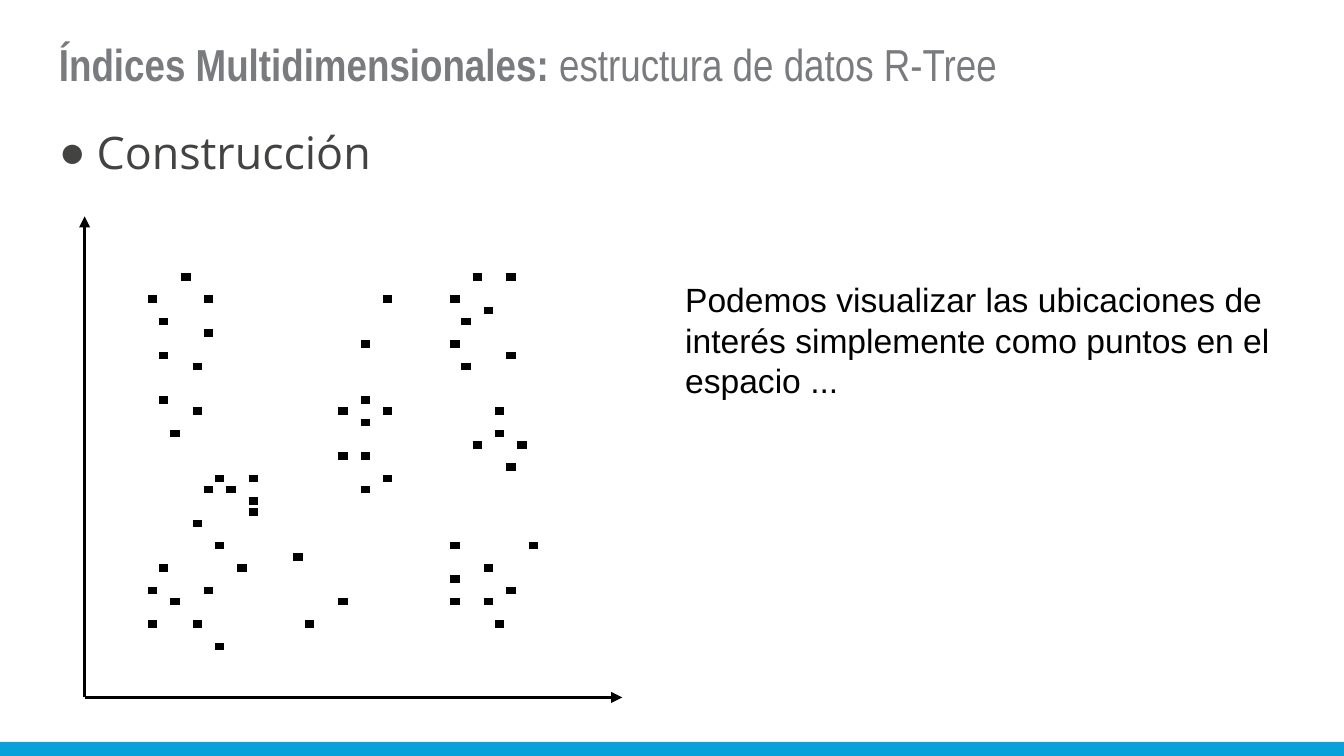
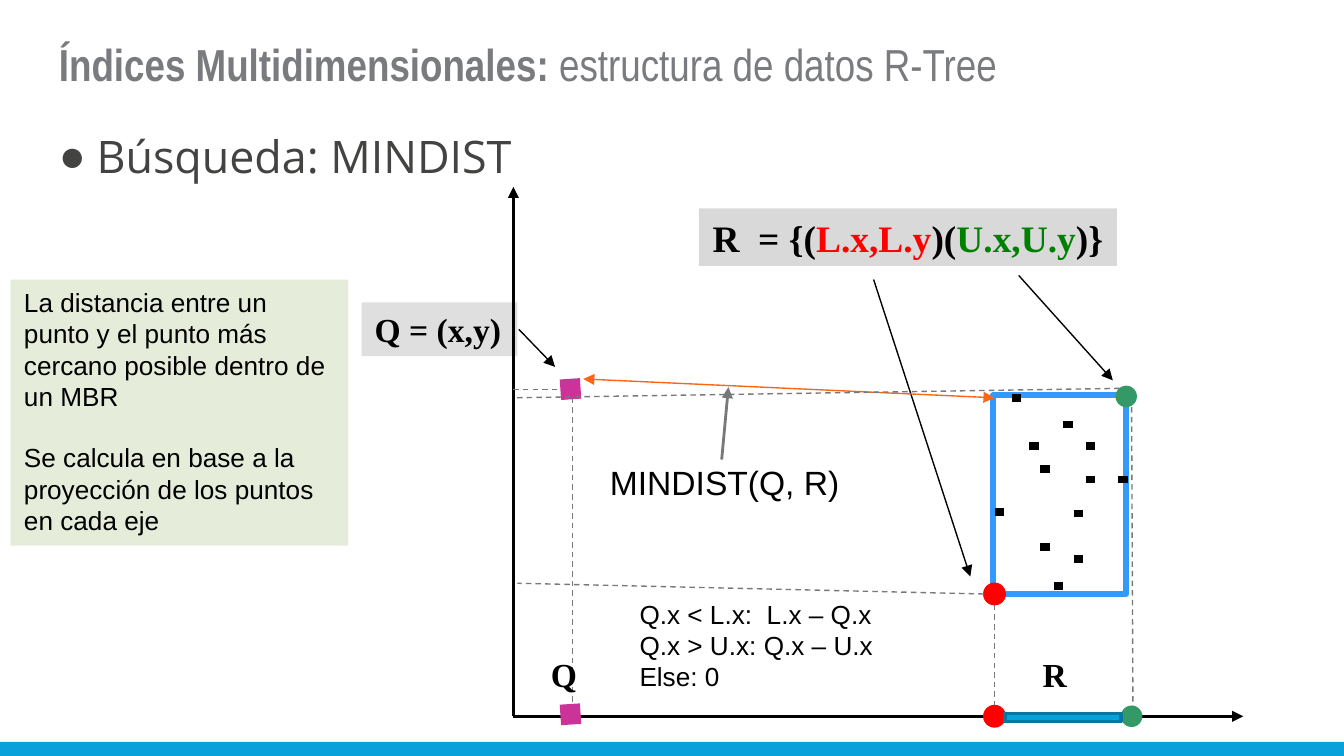
from lxml import etree
from pptx import Presentation
from pptx import util as u
from pptx.dml import color
from pptx.enum import dml, shapes, text
from pptx.oxml import ns

COLORS = {
    "band": "08A1D9", "band_edge": "0677A1", "title": "797B7E", "body": "434342",
    "black": "000000", "guide": "76787B", "query": "CC3399", "box": "3399FF",
    "red": "FF0000", "green": "339966", "upper": "008000", "distance": "F96615",
    "silver": "C0C0C0", "light": "D9D9D9", "note": "E5ECD9",
}
DOT_LENGTH = 0.07
DOT_WEIGHT = 4
SERIF = "Times New Roman"


def rgb(name):
    return color.RGBColor.from_string(COLORS[name])


def add_xml(parent, tag, **attributes):
    return etree.SubElement(parent, ns.qn(tag), attributes)


class Deck:
    """Holds the shared style and the slide being drawn."""

    def __init__(self):
        self.presentation = Presentation()
        self.presentation.slide_width = u.Inches(10)
        self.presentation.slide_height = u.Inches(10 * 9 / 16)
        self.slide = None

    def new_slide(self, heading, heading_top):
        self.slide = self.presentation.slides.add_slide(self.presentation.slide_layouts[6])
        self.shape("RECTANGLE", (0, 5.52, 10, 0.11), "band")
        self.text((0.34, 0.17, 9.32, 0.69),
                  [[("Índices Multidimensionales: ", "title", True),
                    ("estructura de datos R-Tree", "title", False)]],
                  24, "Arial Narrow", inset=0.1)
        frame = self.text((0.34, heading_top, 9.32, 0.75), [[(heading, "body", False)]],
                          24, "Open Sans", inset=0.1)
        self.bullet(frame.paragraphs[0])

    def bullet(self, paragraph):
        paragraph.space_before = paragraph.space_after = u.Pt(6)
        properties = paragraph._p.get_or_add_pPr()
        properties.set("marL", str(u.Inches(0.28)))
        properties.set("indent", str(-u.Inches(0.28)))
        bullet_color = add_xml(properties, "a:buClr")
        add_xml(bullet_color, "a:srgbClr", val=COLORS["body"])
        add_xml(properties, "a:buFont", typeface="Arial")
        add_xml(properties, "a:buChar", char="●")

    def text(self, box, paragraphs, size, font="Arial", inset=0.05,
             fill=None, alpha=None, wrap=True, align="LEFT", gap=0):
        """Each paragraph is a list of (words, color, bold) runs."""
        shape = self.slide.shapes.add_textbox(*map(u.Inches, box))
        if fill:
            self.fill(shape, fill, alpha)
        frame = shape.text_frame
        frame.word_wrap = wrap
        frame.vertical_anchor = text.MSO_ANCHOR.TOP
        frame.margin_left = frame.margin_right = u.Inches(0.1)
        frame.margin_top = frame.margin_bottom = u.Inches(inset)
        for index, runs in enumerate(paragraphs):
            paragraph = frame.add_paragraph() if index else frame.paragraphs[0]
            paragraph.alignment = text.PP_ALIGN[align]
            if index and gap:
                paragraph.space_before = u.Pt(gap)
            for words, ink, bold in runs:
                run = paragraph.add_run()
                run.text = words
                run.font.size = u.Pt(size)
                run.font.name = font
                run.font.bold = bold
                run.font.color.rgb = rgb(ink)
        return frame

    def plain(self, box, lines, size, font="Arial", bold=False, **options):
        """Black text, one run to a line."""
        self.text(box, [[(line, "black", bold)] for line in lines], size, font, **options)

    def fill(self, shape, name, alpha=None):
        shape.fill.solid()
        shape.fill.fore_color.rgb = rgb(name)
        if alpha:
            value = shape._element.spPr.find(".//" + ns.qn("a:srgbClr"))
            add_xml(value, "a:alpha", val=str(alpha * 1000))

    def shape(self, kind, box, fill=None, line=None, weight=0.75):
        shape = self.slide.shapes.add_shape(shapes.MSO_SHAPE[kind], *map(u.Inches, box))
        shape.shadow.inherit = False
        if fill:
            self.fill(shape, fill)
        else:
            shape.fill.background()
        if line:
            shape.line.color.rgb = rgb(line)
            shape.line.width = u.Pt(weight)
        else:
            shape.line.fill.background()

    def line(self, start, end, ink="black", weight=0.75, head=False, tail=False, dash=False):
        connector = self.slide.shapes.add_connector(
            shapes.MSO_CONNECTOR.STRAIGHT, *map(u.Inches, (*start, *end)))
        connector.line.color.rgb = rgb(ink)
        connector.line.width = u.Pt(weight)
        if dash:
            connector.line.dash_style = dml.MSO_LINE.DASH
        outline = connector.line._get_or_add_ln()
        for tag, wanted in (("a:headEnd", head), ("a:tailEnd", tail)):
            if wanted:
                add_xml(outline, tag, type="triangle")
        add_xml(connector._element.spPr, "a:effectLst")

    def axes(self, origin, top, right):
        self.line(origin, (origin[0], top), weight=1.5, tail=True)
        self.line(origin, (right, origin[1]), weight=1.5, tail=True)

    def dot(self, left, middle):
        self.line((left, middle), (left + DOT_LENGTH, middle), weight=DOT_WEIGHT)

    def query_mark(self, left, middle):
        self.line((left, middle), (left + 0.15, middle - 0.01), "query", 11)

    def corner(self, left, top, ink, line=None):
        self.shape("OVAL", (left, top, 0.16, 0.16), ink, line)


# Locations on a grid of twelfths of an inch: row -> columns
LOCATIONS = {
    0: (3, 29, 32), 2: (0, 5, 21, 27), 3: (30,), 4: (1, 28), 5: (5,), 6: (19, 27),
    7: (1, 32), 8: (4, 28), 11: (1, 19), 12: (4, 17, 21, 31), 13: (19,), 14: (2, 31),
    15: (29, 33), 16: (17, 19), 17: (32,), 18: (6, 9, 21), 19: (5, 7, 19), 20: (9,),
    21: (9,), 22: (4,), 24: (6, 27, 34), 25: (13,), 26: (1, 8, 30), 27: (27,),
    28: (0, 5, 32), 29: (2, 17, 27, 30), 31: (0, 4, 14, 31), 33: (6,),
}
# Points inside the bounding rectangle R
MEMBERS = [
    (7.84, 4.36), (7.74, 4.07), (7.99, 3.82), (7.4, 3.81), (8.08, 3.57), (7.66, 3.32),
    (8.08, 3.32), (7.74, 3.49), (7.91, 3.16), (7.99, 4.16), (7.53, 2.96), (8.32, 3.57),
]
# Projections of the points on the axes
GUIDES = [
    ((4.26, 2.96), (4.26, 5.33)), ((7.4, 4.5), (7.4, 5.33)), ((8.42, 3.03), (8.43, 5.33)),
    ((3.82, 2.9), (4.17, 2.9)), ((7.32, 4.42), (3.85, 4.34)), ((8.33, 2.89), (3.82, 2.96)),
]


def construction_slide(deck):
    deck.new_slide("Construcción", 0.83)
    for row, columns in LOCATIONS.items():
        for column in columns:
            deck.dot(1.1 + column / 12, 2.06 + row / 12)
    deck.axes((0.63, 5.19), 1.61, 4.63)
    deck.plain((5, 2.03, 5, 1),
               ["Podemos visualizar las ubicaciones de interés simplemente "
                "como puntos en el espacio ..."], 18)


def search_slide(deck):
    deck.new_slide("Búsqueda: MINDIST", 0.86)

    # Query point and pointers to the corners
    deck.line((6.5, 2.08), (7.22, 4.29), tail=True)
    deck.line((7.58, 2.05), (8.28, 2.83), tail=True)
    deck.plain((2.69, 2.25, 1.16, 0.4), ["Q = (x,y)"], 18, SERIF, True,
               fill="silver", alpha=50)
    deck.query_mark(4.17, 2.9)
    deck.line((3.86, 2.45), (4.13, 2.73), tail=True)

    # Bounding rectangle with its points and corners
    deck.shape("RECTANGLE", (7.39, 2.94, 0.99, 1.48), line="box", weight=3)
    for member in MEMBERS:
        deck.dot(*member)
    deck.corner(7.32, 4.34, "red", "red")
    deck.corner(8.3, 2.87, "green")

    # Definitions
    deck.text((5.2, 1.55, 3.11, 0.43),
              [[("R  = {(", "black", True), ("L.x,L.y", "red", True), (")(", "black", True),
                ("U.x,U.y", "upper", True), (")}", "black", True)]],
              20, SERIF, fill="light", wrap=False, align="CENTER")
    deck.plain((0.08, 2.08, 2.51, 1.98),
               ["La distancia entre un punto y el punto más cercano posible dentro de un MBR",
                "Se calcula en base a la  proyección de los puntos en cada eje"],
               14, fill="note", gap=16)

    # Minimum distance
    deck.plain((4.44, 3.39, 1.91, 0.4), ["MINDIST(Q, R)"], 18, wrap=False)
    deck.line((5.37, 3.42), (5.42, 2.88), "guide", 1.5, tail=True)
    deck.line((4.34, 2.82), (7.4, 2.96), "distance", head=True, tail=True)

    # Axes and projections
    deck.axes((3.82, 5.33), 1.39, 9.25)
    for start, end in GUIDES:
        deck.line(start, end, "guide", dash=True)
    deck.query_mark(4.17, 5.32)
    deck.corner(7.32, 5.25, "red", "red")
    deck.corner(8.34, 5.25, "green")
    deck.shape("RECTANGLE", (7.48, 5.31, 0.86, 0.06), "band", "band_edge", 2)
    for label, left in (("Q", 4), ("R", 7.66)):
        deck.plain((left, 4.82, 0.37, 0.4), [label], 18, SERIF, True)
    deck.plain((4.66, 4.4, 1.95, 1.04),
               ["Q.x < L.x:  L.x – Q.x", "Q.x > U.x: Q.x – U.x", "Else: 0"], 14, wrap=False)


def main():
    deck = Deck()
    construction_slide(deck)
    search_slide(deck)
    deck.presentation.save("out.pptx")


if __name__ == "__main__":
    main()
